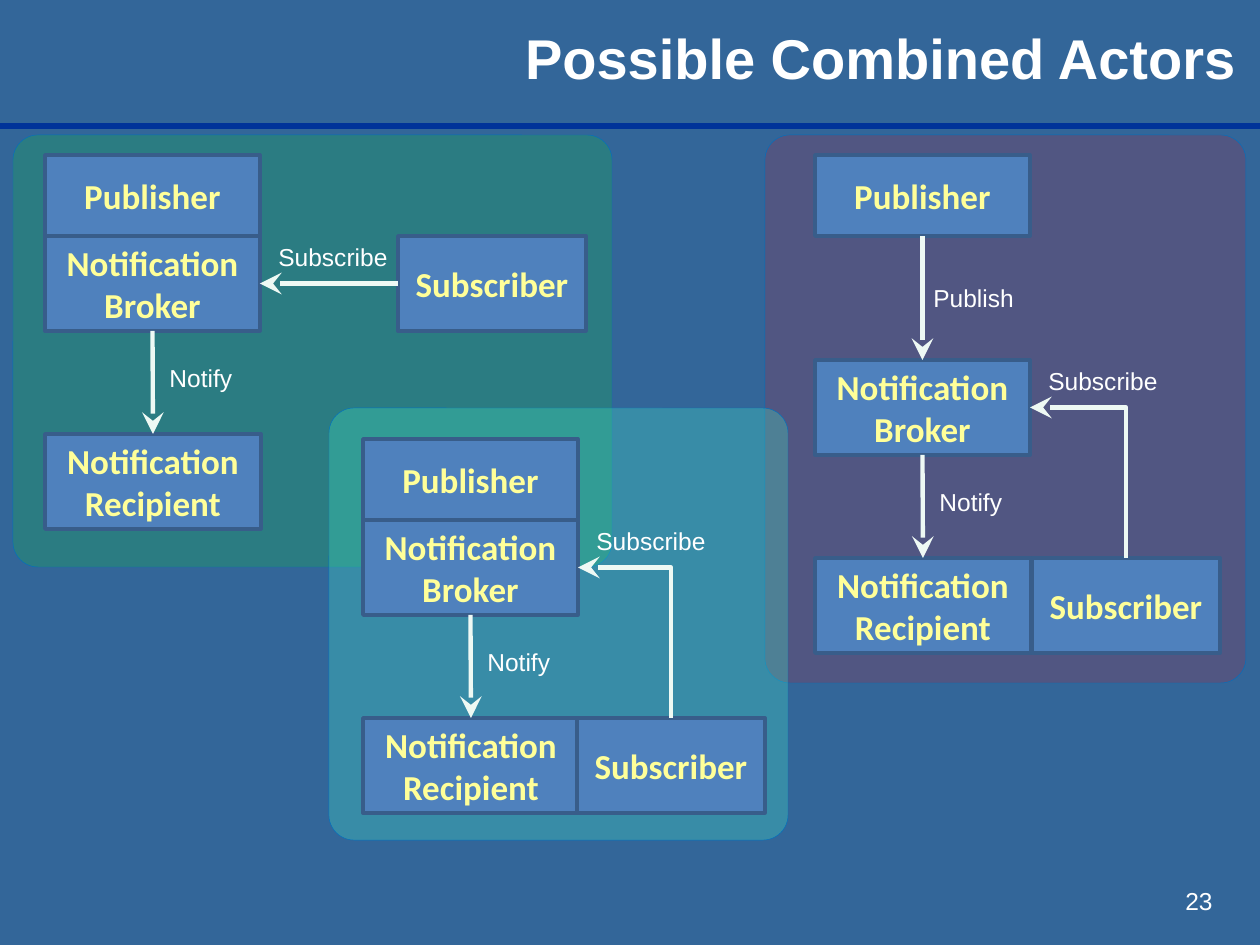
from lxml import etree
from pptx import Presentation
from pptx import util as u
from pptx.dml.color import RGBColor
from pptx.enum import shapes, text
from pptx.oxml.ns import qn

BACKGROUND = RGBColor(0x33, 0x66, 0x99)
RULE = RGBColor(0x00, 0x33, 0x99)
WHITE = RGBColor(0xFF, 0xFF, 0xFF)
PANEL_EDGE = RGBColor(0x00, 0x70, 0xC0)
GREEN = RGBColor(0x00, 0xFF, 0x00)
RED = RGBColor(0xFF, 0x00, 0x00)
MINT = RGBColor(0x47, 0xFF, 0xD1)
ACTOR_FILL = RGBColor(0x4F, 0x81, 0xBD)
ACTOR_EDGE = RGBColor(0x38, 0x5D, 0x8A)
ACTOR_TEXT = RGBColor(0xFF, 0xFF, 0x99)
ARROW = RGBColor(0xEE, 0xF9, 0xF4)

SCALE = u.Inches(1) / 126
CORNER = 25
PUBLISHER_H = 81
ACTOR_H = 95
SUBSCRIBER_W = 188
RECIPIENT_DY = 198


def px(*lengths):
    return [u.Emu(round(n * SCALE)) for n in lengths]


def write(shape, words, size, color, font="Arial", bold=False,
          align=text.PP_ALIGN.LEFT, anchor=text.MSO_ANCHOR.TOP):
    tf = shape.text_frame
    tf.word_wrap = True
    tf.vertical_anchor = anchor
    p = tf.paragraphs[0]
    p.text = words
    p.alignment = align
    p.font.size = u.Pt(size)
    p.font.name = font
    p.font.bold = bold
    p.font.color.rgb = color


def add_title(s, words):
    title = s.shapes.title
    title.left, title.top, title.width, title.height = px(357, -21, 892, 157)
    write(title, words, 32, WHITE, bold=True,
          align=text.PP_ALIGN.RIGHT, anchor=text.MSO_ANCHOR.MIDDLE)


def add_label(s, words, x, y, w):
    write(s.shapes.add_textbox(*px(x, y, w, 43)), words, 14, WHITE)


def add_box(s, kind, bounds, fill, edge, edge_width):
    sp = s.shapes.add_shape(kind, *px(*bounds))
    sp.shadow.inherit = False
    sp.fill.solid()
    sp.fill.fore_color.rgb = fill
    sp.line.color.rgb = edge
    sp.line.width = u.Pt(edge_width)
    return sp


def add_panel(s, bounds, color, opacity):
    sp = add_box(s, shapes.MSO_SHAPE.ROUNDED_RECTANGLE, bounds, color, PANEL_EDGE, 0.25)
    sp.adjustments[0] = CORNER / min(bounds[2:])
    fill = sp._element.spPr.find(qn("a:solidFill"))
    etree.SubElement(fill[0], qn("a:alpha"), val=str(opacity * 1000))


def add_actor(s, words, x, y, w, h=ACTOR_H):
    sp = add_box(s, shapes.MSO_SHAPE.RECTANGLE, (x, y, w, h), ACTOR_FILL, ACTOR_EDGE, 2)
    write(sp, words, 20, ACTOR_TEXT, "Calibri", True,
          text.PP_ALIGN.CENTER, text.MSO_ANCHOR.MIDDLE)
    return sp


def style_line(c, color, width, arrow=False):
    c.line.color.rgb = color
    c.line.width = u.Pt(width)
    if arrow:
        etree.SubElement(c.line._get_or_add_ln(), qn("a:tailEnd"),
                         type="stealth", w="lg", len="lg")
    etree.SubElement(c._element.spPr, qn("a:effectLst"))


def add_arrow(s, start, start_side, end, end_side):
    c = s.shapes.add_connector(shapes.MSO_CONNECTOR.STRAIGHT, 0, 0, 0, 0)
    c.begin_connect(start, start_side)
    c.end_connect(end, end_side)
    style_line(c, ARROW, 2.5, arrow=True)


def add_elbow(s, start, end):
    x1, y1 = start.left + start.width // 2, start.top
    x2, y2 = end.left + end.width, end.top + end.height // 2
    w, h = y1 - y2, x1 - x2
    left, top = (x1 + x2 - w) // 2, (y1 + y2 - h) // 2
    c = s.shapes.add_connector(shapes.MSO_CONNECTOR.ELBOW,
                               left, top + h, left + w, top)
    spPr = c._element.spPr
    spPr.find(qn("a:xfrm")).set("rot", str(270 * 60000))
    spPr.find(qn("a:prstGeom")).set("prst", "bentConnector2")
    style_line(c, ARROW, 2.5, arrow=True)


def add_scenario(s, x, y, subscriber_x, publisher_y, combined_subscriber):
    publisher = add_actor(s, "Publisher", x, publisher_y, 215, PUBLISHER_H)
    broker = add_actor(s, "Notification Broker", x, y, 215)
    recipient = add_actor(s, "Notification Recipient", x, y + RECIPIENT_DY, 216)
    subscriber_y = y + RECIPIENT_DY if combined_subscriber else y
    subscriber = add_actor(s, "Subscriber", subscriber_x, subscriber_y, SUBSCRIBER_W)
    add_arrow(s, broker, 2, recipient, 0)
    if combined_subscriber:
        add_elbow(s, subscriber, broker)
    else:
        add_arrow(s, subscriber, 1, broker, 3)
    if publisher_y + PUBLISHER_H < y:
        add_arrow(s, publisher, 2, broker, 0)
        add_label(s, "Publish", x + 106, y - 83, 112)
    add_label(s, "Subscribe", x + 221, y, 149)
    add_label(s, "Notify", x + 112, y + 121, 106)


def main():
    prs = Presentation()
    prs.slide_width, prs.slide_height = px(1260, 945)
    s = prs.slides.add_slide(prs.slide_layouts[5])
    s.background.fill.solid()
    s.background.fill.fore_color.rgb = BACKGROUND

    rule = s.shapes.add_connector(shapes.MSO_CONNECTOR.STRAIGHT, *px(0, 126, 1260, 126))
    style_line(rule, RULE, 3)
    add_title(s, "Possible Combined Actors")

    add_panel(s, (13, 135, 599, 432), GREEN, 15)
    add_scenario(s, 45, 236, 398, 155, False)
    add_panel(s, (765, 135, 481, 548), RED, 15)
    add_scenario(s, 815, 360, 1032, 155, True)
    add_panel(s, (329, 408, 459, 432), MINT, 25)
    add_scenario(s, 363, 520, 577, 439, True)

    number = s.shapes.add_textbox(*px(989, 876, 236, 50))
    write(number, "23", 14, WHITE, align=text.PP_ALIGN.RIGHT,
          anchor=text.MSO_ANCHOR.MIDDLE)
    prs.save("out.pptx")


if __name__ == "__main__":
    main()
